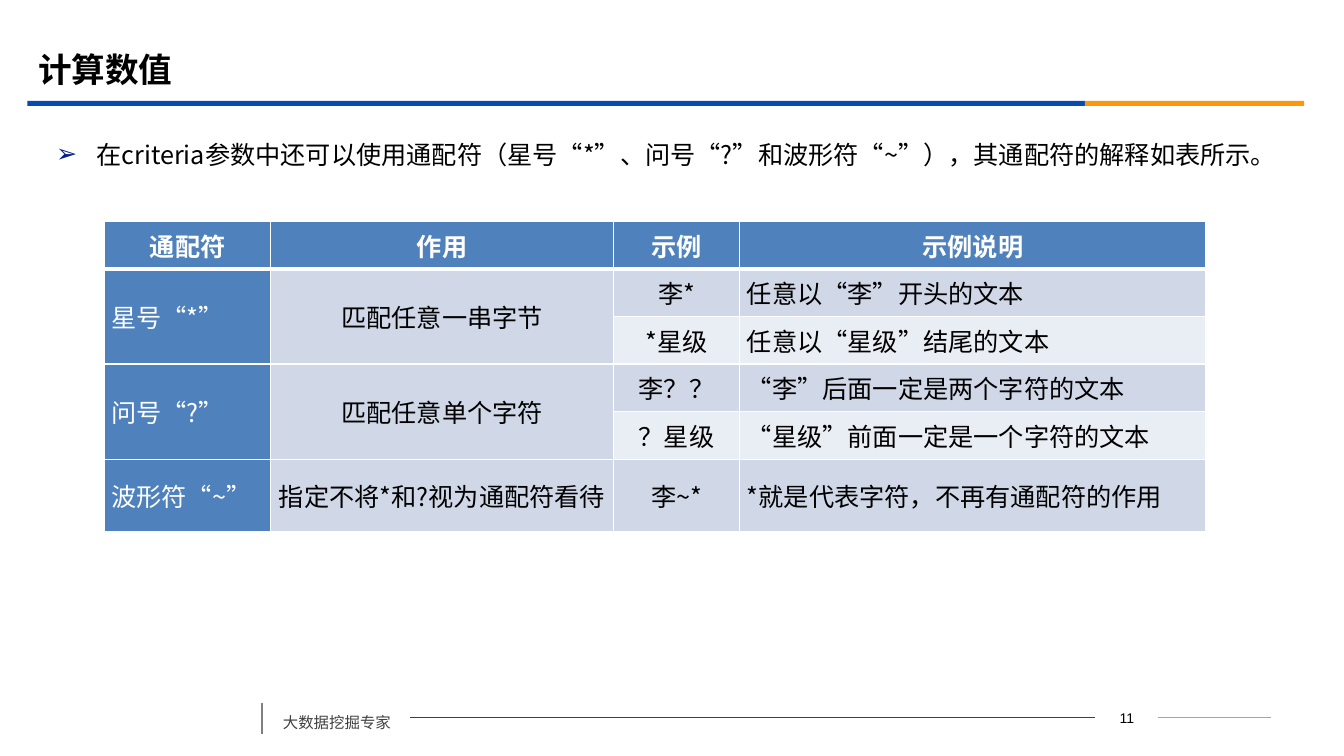
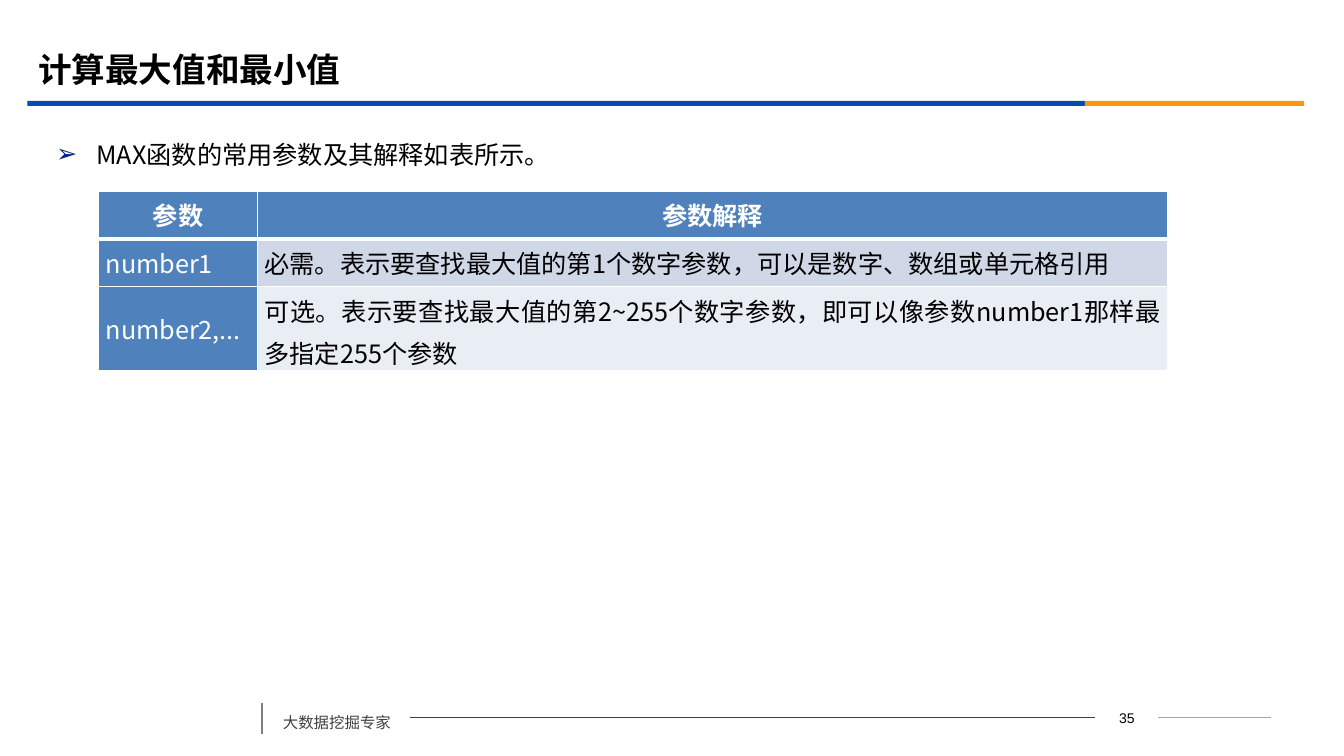
from dataclasses import dataclass
from typing import Optional

from lxml.etree import SubElement
from pptx import Presentation
from pptx.dml.color import RGBColor
from pptx.enum.lang import MSO_LANGUAGE_ID
from pptx.enum.shapes import MSO_CONNECTOR, MSO_SHAPE
from pptx.enum.text import MSO_ANCHOR, PP_ALIGN
from pptx.oxml.ns import qn
from pptx.util import Pt


@dataclass(frozen=True)
class Theme:
    font: str = "Noto Sans CJK SC"
    number_font: str = "Arial"
    black: str = "000000"
    white: str = "FFFFFF"
    blue: str = "064BB2"
    orange: str = "FB9708"
    bullet: str = "032089"
    slogan: str = "404040"
    divider: str = "808080"
    light_rule: str = "A6A6A6"
    table_head: str = "4F81BD"
    table_bands: tuple[str, str] = ("D0D8E8", "E9EDF4")
    title_size: float = 24
    body_size: float = 18
    slogan_size: float = 11
    number_size: float = 10


THEME = Theme()
LEFT, CENTER, JUSTIFY = PP_ALIGN.LEFT, PP_ALIGN.CENTER, PP_ALIGN.JUSTIFY


@dataclass(frozen=True)
class Band:
    left: float
    width: float
    color: str


@dataclass(frozen=True)
class TableContent:
    left: float
    top: float
    widths: tuple[float, ...]
    aligns: tuple[PP_ALIGN, ...]
    last_row_height: float  # holds two lines of text
    rows: tuple[tuple[Optional[str], ...], ...]  # None continues the cell above
    line_spacing: Optional[float] = None  # points, last cell only


@dataclass(frozen=True)
class PageContent:
    number: int
    title: str
    body: str
    body_width: float
    table: TableContent


BANDS = (Band(19.5, 755.5, THEME.blue), Band(775, 156.5, THEME.orange))
BAND_TOP, BAND_HEIGHT = 72, 3.6
FOOTER_MIDDLE = 512.5
ROW_HEIGHT = 34
CELL_INSET = 5

PAGES = (
    PageContent(
        11, "计算数值",
        "在criteria参数中还可以使用通配符（星号“*”、问号“?”和波形符“~”），其通配符的解释如表所示。",
        891,
        TableContent(
            74.5, 158, (119, 244.5, 90.5, 333), (JUSTIFY, CENTER, CENTER, JUSTIFY), 52,
            (
                ("通配符", "作用", "示例", "示例说明"),
                ("星号“*”", "匹配任意一串字节", "李*", "任意以“李”开头的文本"),
                (None, None, "*星级", "任意以“星级”结尾的文本"),
                ("问号“?”", "匹配任意单个字符", "李？？", "“李”后面一定是两个字符的文本"),
                (None, None, "？星级", "“星级”前面一定是一个字符的文本"),
                ("波形符“~”", "指定不将*和?视为通配符看待", "李~*",
                 "*就是代表字符，不再有通配符的作用"),
            ),
        ),
    ),
    PageContent(
        35, "计算最大值和最小值", "MAX函数的常用参数及其解释如表所示。", 875,
        TableContent(
            70.5, 136.5, (113.5, 650), (JUSTIFY, JUSTIFY), 60,
            (
                ("参数", "参数解释"),
                ("number1", "必需。表示要查找最大值的第1个数字参数，可以是数字、数组或单元格引用"),
                ("number2,...",
                 "可选。表示要查找最大值的第2~255个数字参数，即可以像参数number1那样最多指定255个参数"),
            ),
            line_spacing=30,
        ),
    ),
)


def write(frame, text: str, *, size: float, color: str = THEME.black,
          font: str = THEME.font, bold: bool = False, align: PP_ALIGN = LEFT,
          spacing=None, bullet: str = "", indent: float = 0) -> None:
    """Put one formatted paragraph into a text frame."""
    para = frame.paragraphs[0]
    para.alignment = align
    para.space_before = Pt(0)
    if spacing is not None:
        para.line_spacing = spacing
    if bullet:
        properties = para._p.get_or_add_pPr()
        properties.set("marL", str(Pt(indent)))
        properties.set("indent", str(-Pt(indent)))
        bullet_color = SubElement(properties, qn("a:buClr"))
        SubElement(bullet_color, qn("a:srgbClr"), val=THEME.bullet)
        SubElement(properties, qn("a:buFont"), typeface=THEME.number_font)
        SubElement(properties, qn("a:buChar"), char=bullet)
    span = para.add_run()
    span.text = text
    span.font.size = Pt(size)
    span.font.bold = bold
    span.font.name = font
    span.font.color.rgb = RGBColor.from_string(color)
    span.font.language_id = MSO_LANGUAGE_ID.SIMPLIFIED_CHINESE
    SubElement(span._r.get_or_add_rPr(), qn("a:ea"), typeface=font)


def add_box(page, left: float, top: float, width: float, height: float):
    box = page.shapes.add_textbox(Pt(left), Pt(top), Pt(width), Pt(height))
    box.text_frame.word_wrap = True
    return box


def add_line(page, start: tuple[float, float], end: tuple[float, float],
             color: str, weight: float):
    line = page.shapes.add_connector(
        MSO_CONNECTOR.STRAIGHT, *(Pt(value) for value in start + end))
    line.line.color.rgb = RGBColor.from_string(color)
    line.line.width = Pt(weight)
    SubElement(line._element.spPr, qn("a:effectLst"))
    return line


def add_bands(page) -> None:
    for band in BANDS:
        shape = page.shapes.add_shape(
            MSO_SHAPE.RECTANGLE, Pt(band.left), Pt(BAND_TOP),
            Pt(band.width), Pt(BAND_HEIGHT))
        shape.shadow.inherit = False
        shape.fill.solid()
        shape.fill.fore_color.rgb = RGBColor.from_string(band.color)
        shape.line.fill.background()


def add_footer(page, number: int) -> None:
    slogan = add_box(page, 195, FOOTER_MIDDLE - 13, 98, 26)
    write(slogan.text_frame, "大数据挖掘专家", size=THEME.slogan_size,
          color=THEME.slogan, spacing=1.5)
    number_box = add_box(page, 782.5, FOOTER_MIDDLE - 9, 45, 18)
    write(number_box.text_frame, str(number), size=THEME.number_size,
          font=THEME.number_font, align=CENTER)

    # Rules around the slogan and page number
    add_line(page, (187, 502.5), (187, 524), THEME.divider, 1.25)
    middle_rule = add_line(page, (293, FOOTER_MIDDLE), (782.5, FOOTER_MIDDLE),
                           THEME.slogan, 0.75)
    middle_rule.begin_connect(slogan, 3)
    middle_rule.end_connect(number_box, 1)
    right_rule = add_line(page, (827.5, FOOTER_MIDDLE), (908, FOOTER_MIDDLE),
                          THEME.light_rule, 0.75)
    right_rule.begin_connect(number_box, 3)


def format_cell(cell, fill: str, top: float, bottom: float) -> None:
    """Set white borders, fill, insets and anchor."""
    properties = cell._tc.get_or_add_tcPr()
    for side, weight in (("L", 1), ("R", 1), ("T", top), ("B", bottom)):
        border = SubElement(properties, qn(f"a:ln{side}"), w=str(Pt(weight)))
        border_fill = SubElement(border, qn("a:solidFill"))
        SubElement(border_fill, qn("a:srgbClr"), val=THEME.white)
    cell.fill.solid()
    cell.fill.fore_color.rgb = RGBColor.from_string(fill)
    cell.vertical_anchor = MSO_ANCHOR.MIDDLE
    cell.margin_left = cell.margin_right = Pt(CELL_INSET)
    cell.margin_top = cell.margin_bottom = Pt(0)


def add_grid(page, content: TableContent) -> None:
    row_count, column_count = len(content.rows), len(content.widths)
    heights = [ROW_HEIGHT] * (row_count - 1) + [content.last_row_height]
    table = page.shapes.add_table(
        row_count, column_count, Pt(content.left), Pt(content.top),
        Pt(sum(content.widths)), Pt(sum(heights))).table
    table.horz_banding = False
    for column, width in zip(table.columns, content.widths):
        column.width = Pt(width)
    for row, height in zip(table.rows, heights):
        row.height = Pt(height)

    for r, texts in enumerate(content.rows):
        for c, text in enumerate(texts):
            cell = table.cell(r, c)
            is_header = r == 0
            is_blue = is_header or c == 0
            fill = THEME.table_head if is_blue else THEME.table_bands[(r - 1) % 2]
            format_cell(cell, fill, top=3 if r == 1 else 1,
                        bottom=3 if is_header else 1)
            if text is None:
                table.cell(r - 1, c).merge(cell)
                continue
            is_last = (r, c) == (row_count - 1, column_count - 1)
            spacing = Pt(content.line_spacing) if is_last and content.line_spacing else None
            write(cell.text_frame, text, size=THEME.body_size,
                  color=THEME.white if is_blue else THEME.black, bold=is_header,
                  align=CENTER if is_header else content.aligns[c], spacing=spacing)


def add_page(deck, content: PageContent) -> None:
    page = deck.slides.add_slide(deck.slide_layouts[5])
    add_bands(page)
    add_footer(page, content.number)

    # Title
    title = page.shapes.title
    title.left, title.top, title.width, title.height = Pt(20), Pt(28), Pt(864), Pt(42)
    title.text_frame.vertical_anchor = MSO_ANCHOR.MIDDLE
    write(title.text_frame, content.title, size=THEME.title_size, bold=True)

    # Body and table
    body = add_box(page, 33, 85, content.body_width, 396)
    write(body.text_frame, content.body, size=THEME.body_size, spacing=1.5,
          bullet="➢", indent=28.8)
    add_grid(page, content.table)


def main() -> None:
    deck = Presentation()
    deck.slide_width, deck.slide_height = Pt(960), Pt(540)
    for content in PAGES:
        add_page(deck, content)
    deck.save("out.pptx")


if __name__ == "__main__":
    main()
